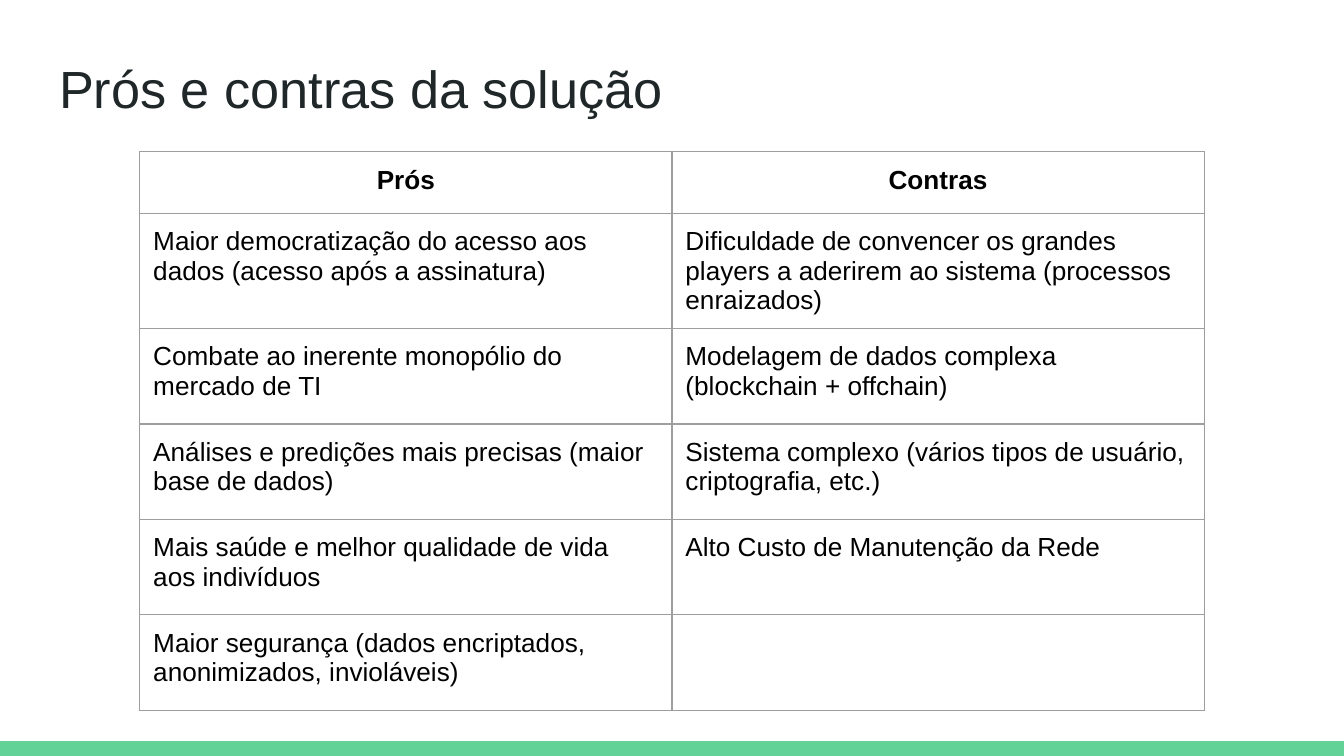
import pptx
import pptx.dml.color
import pptx.enum.shapes
import pptx.enum.text
import pptx.oxml
import pptx.oxml.ns
import pptx.util
from pptx.util import Inches

FONT = "Arial"
BLACK = "000000"
TITLE_COLOR = "202729"
ACCENT = "63D297"
BORDER = "9E9E9E"

ROWS = [
    ("Prós", "Contras"),
    ("Maior democratização do acesso aos dados (acesso após a assinatura)",
     "Dificuldade de convencer os grandes players a aderirem ao sistema (processos enraizados)"),
    ("Combate ao inerente monopólio do mercado de TI",
     "Modelagem de dados complexa (blockchain + offchain)"),
    ("Análises e predições mais precisas (maior base de dados)",
     "Sistema complexo (vários tipos de usuário, criptografia, etc.)"),
    ("Mais saúde e melhor qualidade de vida aos indivíduos",
     "Alto Custo de Manutenção da Rede"),
    ("Maior segurança (dados encriptados, anonimizados, invioláveis)", ""),
]


def color(hex_string):
    return pptx.dml.color.RGBColor.from_string(hex_string)


def format_paragraph(paragraph, size, hex_string, alignment, bold=False):
    paragraph.alignment = alignment
    paragraph.font.name = FONT
    paragraph.font.size = pptx.util.Pt(size)
    paragraph.font.bold = bold
    paragraph.font.color.rgb = color(hex_string)


def set_margins(box, margin):
    box.margin_left = box.margin_right = margin
    box.margin_top = box.margin_bottom = margin


def add_title(slide, text):
    title = slide.shapes.title
    title.left, title.top = Inches(0.34), Inches(0.32)
    title.width, title.height = Inches(9.32), Inches(0.63)
    frame = title.text_frame
    frame.text = text
    frame.word_wrap = True
    frame.auto_size = pptx.enum.text.MSO_AUTO_SIZE.NONE
    frame.vertical_anchor = pptx.enum.text.MSO_ANCHOR.TOP
    set_margins(frame, Inches(0.1))
    format_paragraph(frame.paragraphs[0], 28, TITLE_COLOR, pptx.enum.text.PP_ALIGN.LEFT)


def add_footer_bar(slide, slide_height):
    height = Inches(0.11)
    bar = slide.shapes.add_shape(
        pptx.enum.shapes.MSO_SHAPE.RECTANGLE,
        Inches(0), slide_height - height, Inches(10), height)
    bar.shadow.inherit = False
    bar.fill.solid()
    bar.fill.fore_color.rgb = color(ACCENT)
    bar.line.fill.background()


def add_cell_borders(cell):
    properties = cell._tc.get_or_add_tcPr()
    # Borders must come before the fill in the cell properties
    for position, side in enumerate(("lnL", "lnR", "lnT", "lnB")):
        border = pptx.oxml.parse_xml(
            f'<a:{side} {pptx.oxml.ns.nsdecls("a")} w="{pptx.util.Pt(0.75)}">'
            f'<a:solidFill><a:srgbClr val="{BORDER}"/></a:solidFill></a:{side}>')
        properties.insert(position, border)


def format_cell(cell, text, is_header):
    alignment = pptx.enum.text.PP_ALIGN
    cell.text = text
    cell.fill.background()
    cell.vertical_anchor = pptx.enum.text.MSO_ANCHOR.TOP
    set_margins(cell, Inches(0.1))
    format_paragraph(cell.text_frame.paragraphs[0], 14, BLACK,
                     alignment.CENTER if is_header else alignment.LEFT, is_header)
    add_cell_borders(cell)


def add_comparison_table(slide):
    frame = slide.shapes.add_table(
        len(ROWS), 2, Inches(1.04), Inches(1.13), Inches(7.92), Inches(4.01))
    table = frame.table
    table.first_row = False
    table.horz_banding = False
    for column in table.columns:
        column.width = Inches(3.96)
    for row_index, texts in enumerate(ROWS):
        is_header = row_index == 0
        table.rows[row_index].height = Inches(0.46 if is_header else 0.71)
        for column_index, text in enumerate(texts):
            format_cell(table.cell(row_index, column_index), text, is_header)


def main():
    presentation = pptx.Presentation()
    # Widescreen, 16:9
    presentation.slide_width = Inches(10)
    presentation.slide_height = Inches(10) * 9 // 16
    slide = presentation.slides.add_slide(presentation.slide_layouts[5])

    # Background and accent
    slide.background.fill.solid()
    slide.background.fill.fore_color.rgb = color("FFFFFF")
    add_footer_bar(slide, presentation.slide_height)

    # Content
    add_title(slide, "Prós e contras da solução")
    add_comparison_table(slide)
    presentation.save("out.pptx")


if __name__ == "__main__":
    main()
